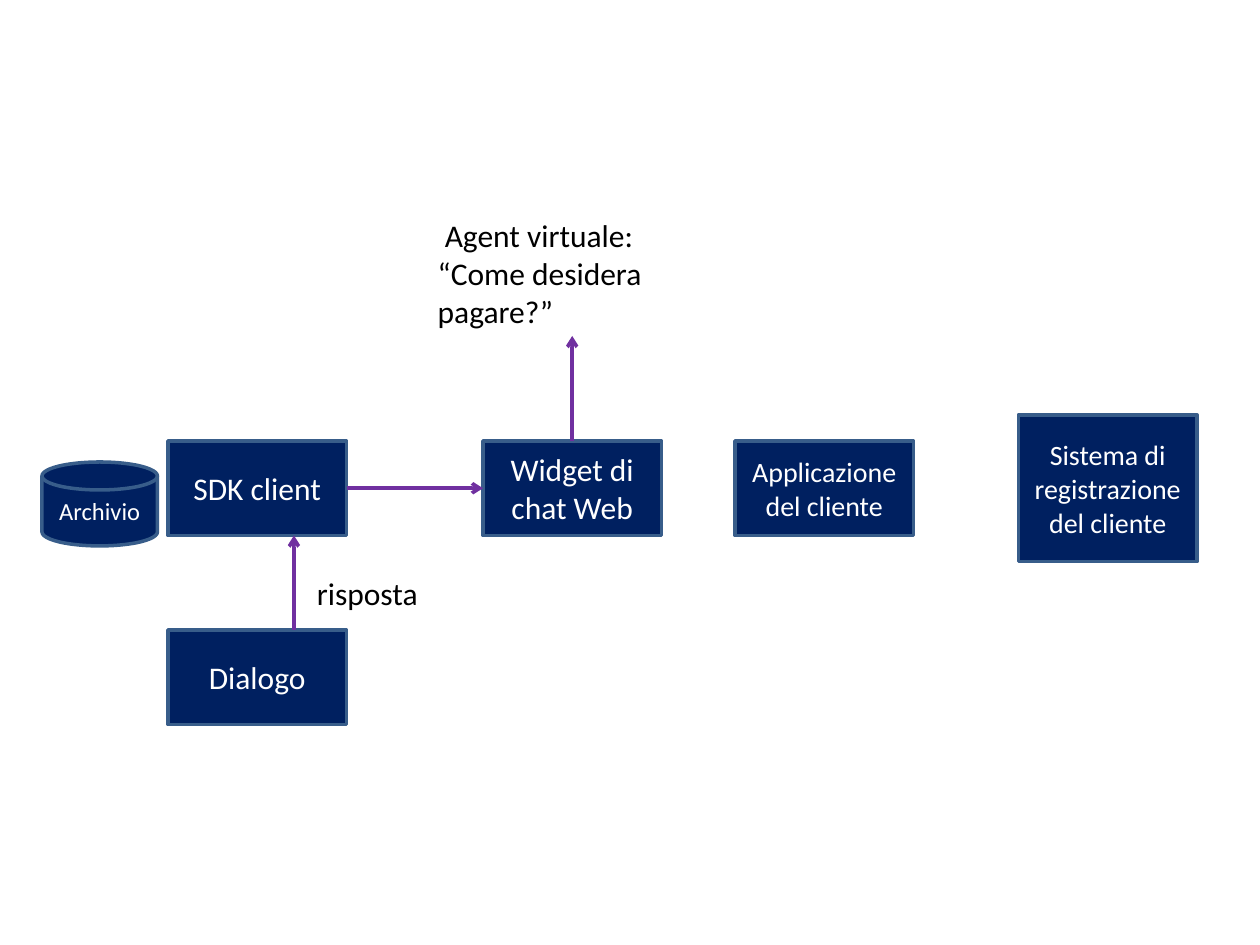
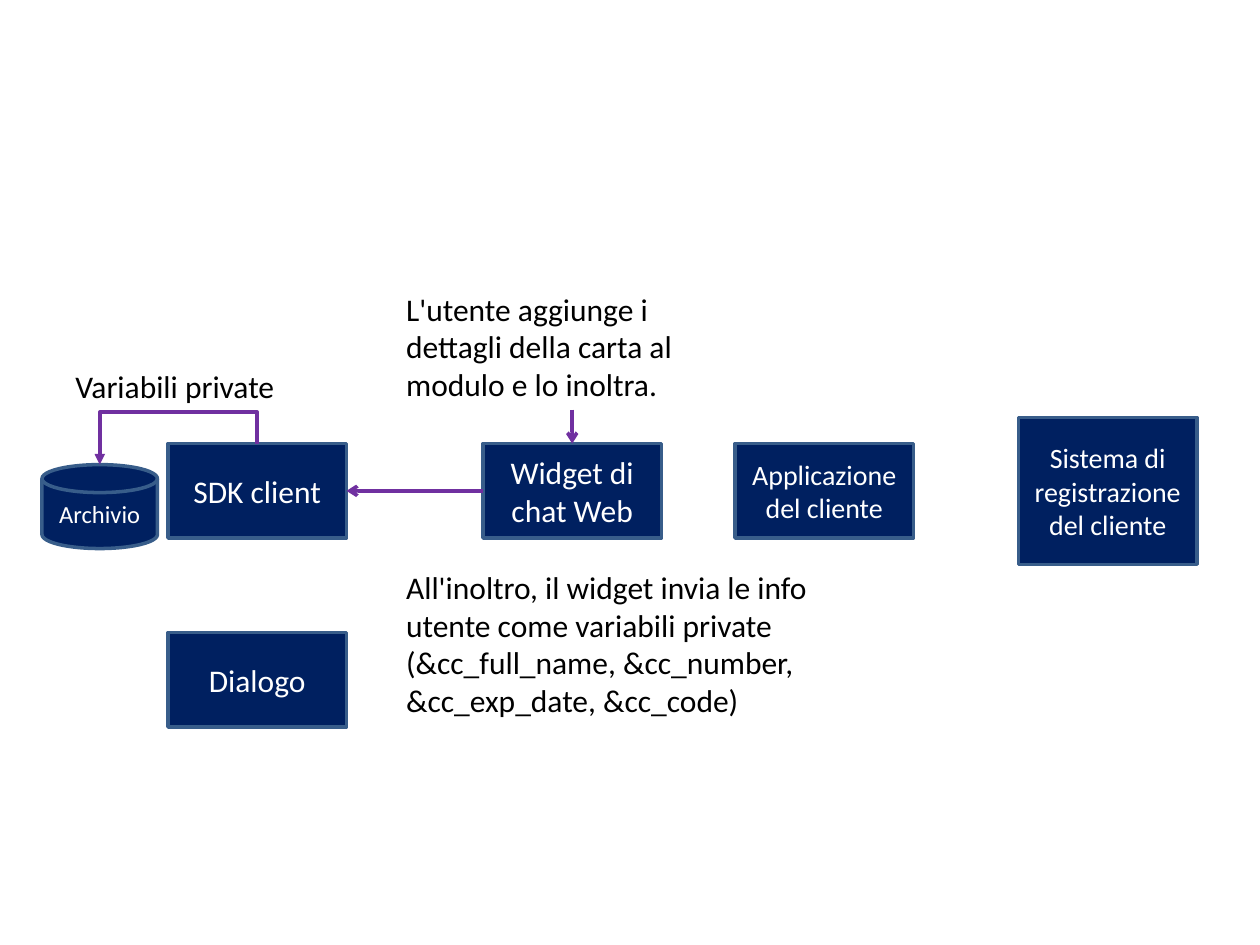
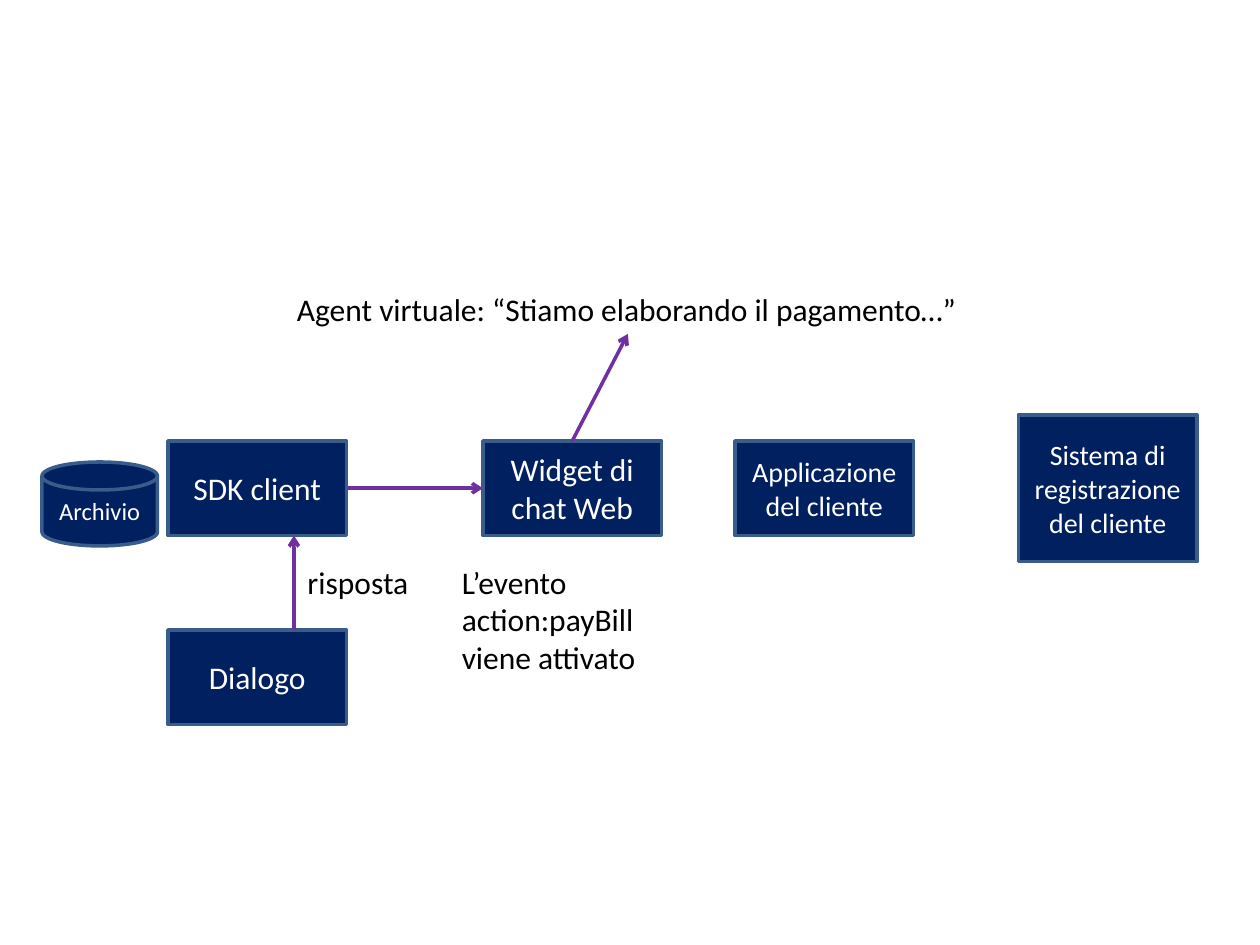
from dataclasses import dataclass

from lxml.etree import SubElement
from pptx import Presentation
from pptx.dml.color import RGBColor as RGB
from pptx.enum.shapes import MSO_CONNECTOR as CONNECTOR, MSO_SHAPE as SHAPE
from pptx.enum.text import MSO_ANCHOR as ANCHOR, MSO_AUTO_SIZE as AUTO_SIZE, PP_ALIGN as ALIGN
from pptx.oxml.ns import qn
from pptx.util import Inches, Pt

GRID = Inches(10) // 120  # the slide is 120 columns by 90 rows of square cells
TOP, LEFT, BOTTOM, RIGHT = range(4)  # connection sites of a rectangle


@dataclass(frozen=True)
class Theme:
    font: str = "Calibri"
    fill: RGB = RGB(0x00, 0x20, 0x60)
    outline: RGB = RGB(0x38, 0x5D, 0x8A)
    arrow: RGB = RGB(0x70, 0x30, 0xA0)
    on_fill: RGB = RGB(0xFF, 0xFF, 0xFF)
    text: RGB = RGB(0x00, 0x00, 0x00)
    stroke: Pt = Pt(2)
    large: Pt = Pt(18)
    medium: Pt = Pt(16)
    small: Pt = Pt(14)


THEME = Theme()

# Components shown on every slide: shape, wording, type size, column, row, columns, rows
COMPONENTS = {
    "sdk": (SHAPE.RECTANGLE, "SDK client", THEME.large, 16, 42, 17, 9),
    "widget": (SHAPE.RECTANGLE, "Widget di chat Web", THEME.large, 46, 42, 17, 9),
    "application": (SHAPE.RECTANGLE, "Applicazione del cliente", THEME.medium, 70, 42, 17, 9),
    "records": (SHAPE.RECTANGLE, "Sistema di registrazione del cliente", THEME.medium,
                97, 39.5, 17, 14),
    "dialog": (SHAPE.RECTANGLE, "Dialogo", THEME.large, 16, 60, 17, 9),
    "archive": (SHAPE.FLOWCHART_MAGNETIC_DISK, "Archivio", THEME.small, 4, 44, 11, 8),
}


def cells(*counts):
    return [round(count * GRID) for count in counts]


def write(frame, wording, size, color):
    frame.text = wording
    font = frame.paragraphs[0].font
    font.name, font.size, font.color.rgb = THEME.font, size, color


def add_component(slide, kind, wording, size, column, row, columns, rows):
    component = slide.shapes.add_shape(kind, *cells(column, row, columns, rows))
    component.shadow.inherit = False
    component.fill.solid()
    component.fill.fore_color.rgb = THEME.fill
    component.line.color.rgb = THEME.outline
    component.line.width = THEME.stroke
    frame = component.text_frame
    frame.word_wrap = True
    frame.vertical_anchor = ANCHOR.MIDDLE
    write(frame, wording, size, THEME.on_fill)
    frame.paragraphs[0].alignment = ALIGN.CENTER
    return component


def add_label(slide, wording, column, row, columns, rows, wrap=True):
    label = slide.shapes.add_textbox(*cells(column, row, columns, rows))
    frame = label.text_frame
    frame.word_wrap = wrap
    frame.auto_size = AUTO_SIZE.SHAPE_TO_FIT_TEXT
    write(frame, wording, THEME.large, THEME.text)
    return label


def add_arrow(slide, start=(0, 0), end=(0, 0), kind=CONNECTOR.STRAIGHT, head="arrow"):
    arrow = slide.shapes.add_connector(kind, *cells(*start, *end))
    arrow.line.color.rgb = THEME.arrow
    arrow.line.width = THEME.stroke
    SubElement(arrow.line._get_or_add_ln(), qn("a:tailEnd"), type=head)
    SubElement(arrow._element.spPr, qn("a:effectLst"))
    return arrow


def join(slide, source, source_side, target, target_side):
    arrow = add_arrow(slide)
    arrow.begin_connect(source, source_side)
    arrow.end_connect(target, target_side)


def add_loop(slide, start, end, rise):
    """Elbow arrow that climbs from start, runs left and drops onto end."""
    across, drop = start[0] - end[0], end[1] - start[1]
    middle_x, middle_y = (start[0] + end[0]) / 2, (start[1] + end[1]) / 2
    loop = add_arrow(slide, kind=CONNECTOR.ELBOW, head="triangle")
    # A quarter turn makes the connector leave and arrive vertically
    loop.left, loop.top, loop.width, loop.height = cells(
        middle_x - drop / 2, middle_y - across / 2, drop, across)
    properties = loop._element.spPr
    properties.find(qn("a:xfrm")).set("rot", str(90 * 60000))
    guides = properties.find(qn("a:prstGeom")).find(qn("a:avLst"))
    SubElement(guides, qn("a:gd"), name="adj1", fmla=f"val {round(-rise / drop * 100000)}")


def add_flow_slide(deck, shift=0):
    """Slide with all components, moved down by shift rows."""
    slide = deck.slides.add_slide(deck.slide_layouts[6])
    parts = {}
    for name, (kind, wording, size, column, row, columns, rows) in COMPONENTS.items():
        parts[name] = add_component(slide, kind, wording, size,
                                    column, row + shift, columns, rows)
    return slide, parts


def add_reply(slide, parts, column, row):
    """Reply that travels from the dialog through the SDK to the widget."""
    add_arrow(slide, (28, 60), (28, 51))
    add_label(slide, "risposta", column, row, 12, 4.8, wrap=False)
    join(slide, parts["sdk"], RIGHT, parts["widget"], LEFT)


def ask_for_payment(deck):
    slide, parts = add_flow_slide(deck)
    add_reply(slide, parts, 29, 54.1)
    question = add_label(slide, " Agent virtuale: “Come desidera pagare?”", 40.5, 20, 28, 12)
    join(slide, parts["widget"], TOP, question, BOTTOM)


def submit_card(deck):
    shift = 0.25
    slide, parts = add_flow_slide(deck, shift)
    entry = add_label(slide, "L'utente aggiunge i dettagli della carta al modulo e lo inoltra.",
                      37.5, 27, 34, 12)
    join(slide, entry, BOTTOM, parts["widget"], TOP)
    join(slide, parts["widget"], LEFT, parts["sdk"], RIGHT)
    add_label(slide, "All'inoltro, il widget invia le info utente come variabili private "
              "(&cc_full_name, &cc_number, &cc_exp_date, &cc_code)", 37.5, 53.5, 41, 15.6)

    # Private variables go from the SDK to the archive
    add_label(slide, "Variabili private", 6, 34.4, 21.6, 4.8, wrap=False)
    add_loop(slide, (24.5, 42 + shift), (9.5, 44 + shift), rise=3)


def process_payment(deck):
    slide, parts = add_flow_slide(deck)
    add_reply(slide, parts, 28.1, 53)
    add_label(slide, "L’evento action:payBill viene attivato", 42.8, 53, 24.1, 12)
    progress = add_label(slide, "Agent virtuale: “Stiamo elaborando il pagamento…”",
                         27.1, 27, 65.4, 4.8, wrap=False)
    join(slide, parts["widget"], TOP, progress, BOTTOM)


def main():
    deck = Presentation()
    deck.slide_width, deck.slide_height = cells(120, 90)
    ask_for_payment(deck)
    submit_card(deck)
    process_payment(deck)
    deck.save("out.pptx")


if __name__ == "__main__":
    main()
